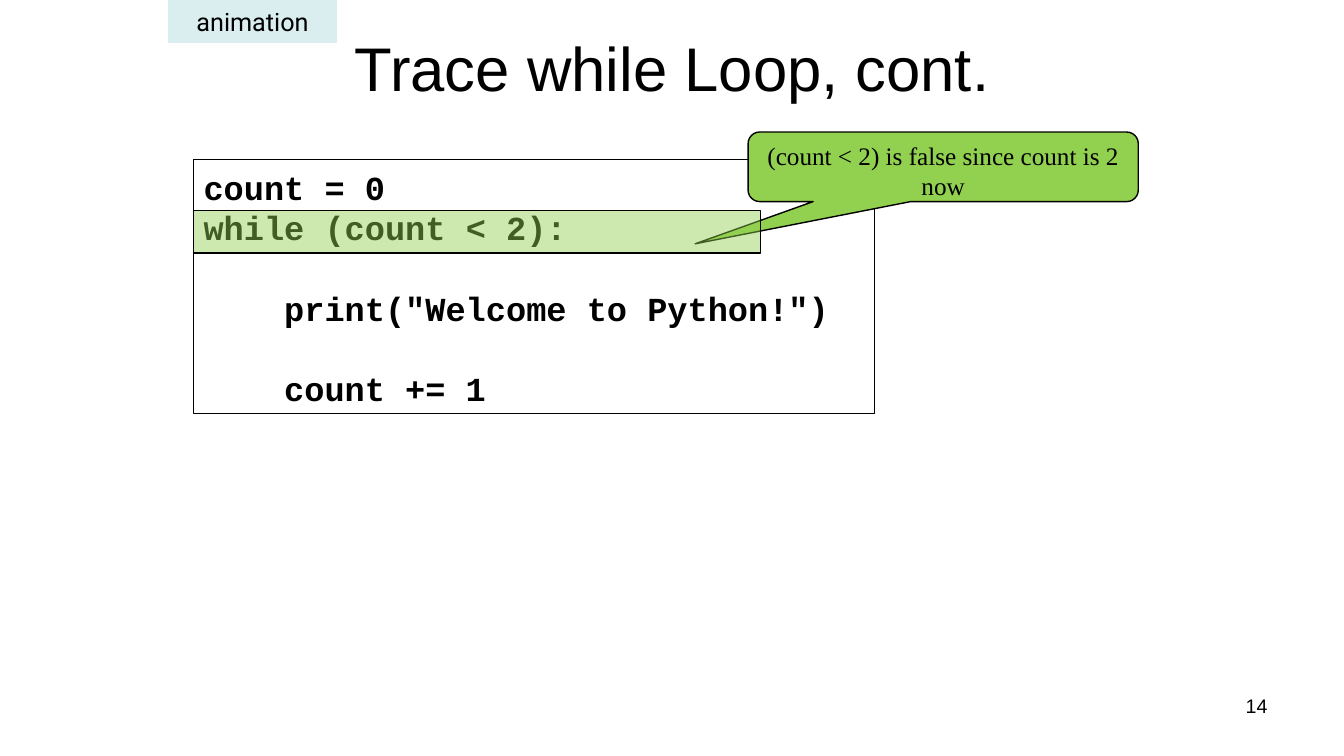
from lxml import etree
from pptx import Presentation
from pptx.dml.color import RGBColor
from pptx.enum.shapes import MSO_SHAPE
from pptx.enum.text import MSO_ANCHOR, PP_ALIGN
from pptx.oxml.ns import qn
from pptx.util import Inches, Pt

BLACK, GREEN, PALE_BLUE = "000000", "92D050", "DAEDEF"


def write(paragraph, text, font, size, align, bold=False):
    paragraph.text = text
    paragraph.alignment = align
    paragraph.font.name = font
    paragraph.font.size = Pt(size)
    paragraph.font.bold = bold
    paragraph.font.color.rgb = RGBColor.from_string(BLACK)


def add_box(preset, left, top, width, height, fill=None, line=BLACK, weight=1):
    box = slide.shapes.add_shape(
        preset, Inches(left), Inches(top), Inches(width), Inches(height))
    box.shadow.inherit = False
    if fill:
        box.fill.solid()
        box.fill.fore_color.rgb = RGBColor.from_string(fill)
    else:
        box.fill.background()
    box.line.color.rgb = RGBColor.from_string(line)
    box.line.width = Pt(weight)
    box.text_frame.word_wrap = True
    box.text_frame.vertical_anchor = MSO_ANCHOR.TOP
    return box


prs = Presentation()
prs.slide_width, prs.slide_height = Inches(13.33), Inches(7.5)
slide = prs.slides.add_slide(prs.slide_layouts[5])

title = slide.shapes.title
title.left, title.top = Inches(2.42), Inches(0.25)
title.width, title.height = Inches(8.5), Inches(0.83)
title.text_frame.vertical_anchor = MSO_ANCHOR.MIDDLE
write(title.text_frame.paragraphs[0], "Trace while Loop, cont.", "Arial", 44,
      PP_ALIGN.CENTER)

# Code listing: the loop body is indented and set one line apart
LINE_PITCH = Pt(28.7)
code = add_box(MSO_SHAPE.RECTANGLE, 1.92, 1.58, 6.75, 2.52, weight=0.75).text_frame
code.vertical_anchor = MSO_ANCHOR.BOTTOM
statements = [
    ("count = 0", False),
    ("while (count < 2):", False),
    ('print("Welcome to Python!")', True),
    ("count += 1", True),
]
for number, (statement, in_body) in enumerate(statements):
    code_line = code.add_paragraph() if number else code.paragraphs[0]
    write(code_line, statement, "Courier New", 24, PP_ALIGN.LEFT, bold=True)
    code_line.line_spacing = LINE_PITCH
    if in_body:
        code_line.space_before = LINE_PITCH
        code_line._p.get_or_add_pPr().set("marL", str(Inches(0.8)))

callout = add_box(MSO_SHAPE.ROUNDED_RECTANGULAR_CALLOUT, 7.42, 1.31, 3.87, 0.69, GREEN)
for index, value in enumerate((-0.636, 1.107, 0.167)):
    callout.adjustments[index] = value
write(callout.text_frame.paragraphs[0], "(count < 2) is false since count is 2 now",
      "Times New Roman", 18, PP_ALIGN.CENTER)

highlight = add_box(MSO_SHAPE.RECTANGLE, 1.92, 2.09, 5.62, 0.42, GREEN)
highlight_color = highlight._element.spPr.find(qn("a:solidFill")).find(qn("a:srgbClr"))
etree.SubElement(highlight_color, qn("a:alpha")).set("val", "45000")

tag = add_box(MSO_SHAPE.RECTANGLE, 1.67, 0, 1.67, 0.42, PALE_BLUE, PALE_BLUE).text_frame
tag.word_wrap = False
tag.vertical_anchor = MSO_ANCHOR.MIDDLE
write(tag.paragraphs[0], "animation", "Roboto", 18, PP_ALIGN.CENTER)

page_number = slide.shapes.add_textbox(
    Inches(9.56), Inches(6.83), Inches(3.11), Inches(0.52)).text_frame
page_number.word_wrap = True
write(page_number.paragraphs[0], "14", "Arial", 14, PP_ALIGN.RIGHT)

prs.save("out.pptx")
